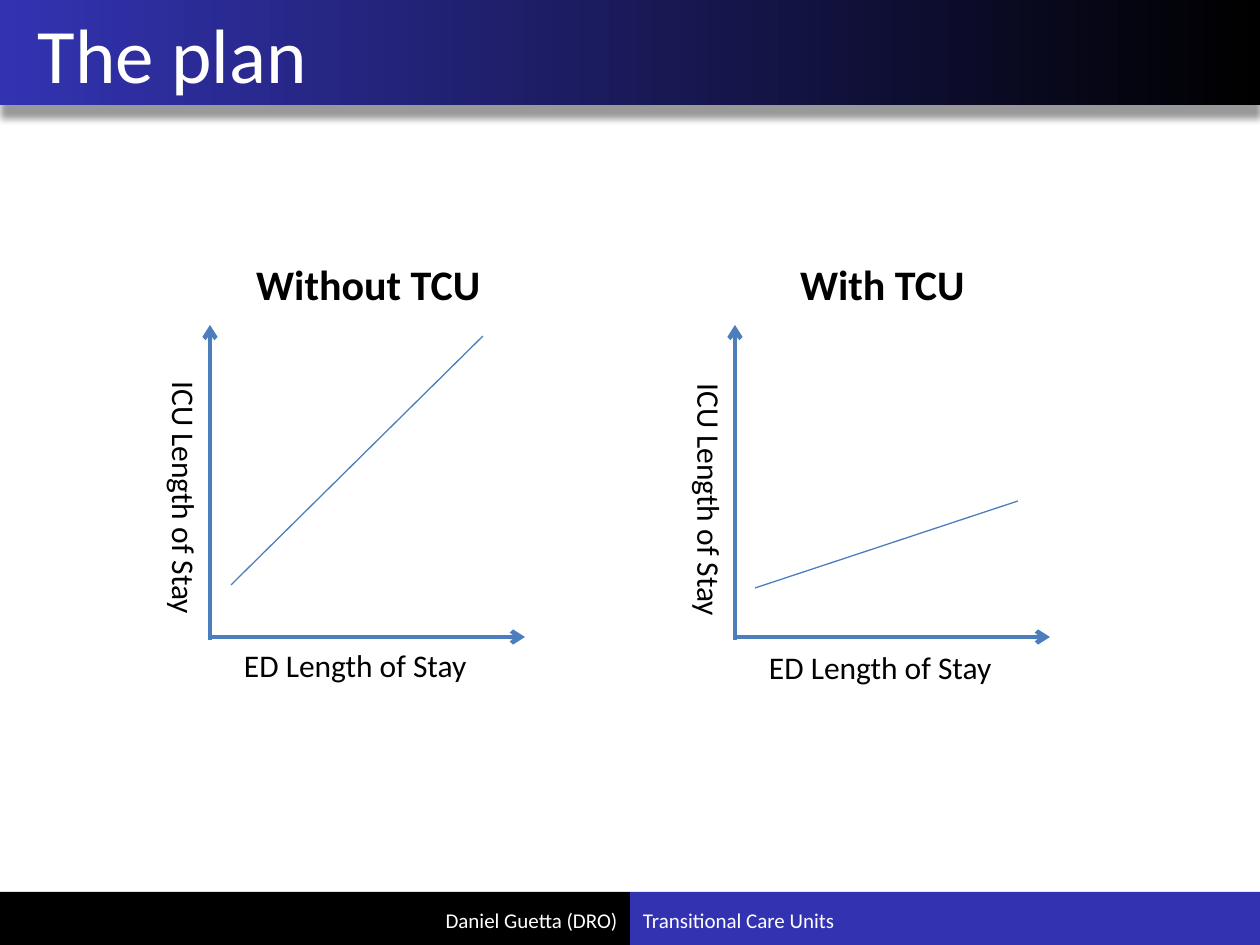
"""Build a slide comparing ICU against ED length of stay without and with a TCU."""
from lxml.etree import SubElement
from pptx import Presentation
from pptx.dml.color import RGBColor
from pptx.enum.shapes import MSO_CONNECTOR, MSO_SHAPE
from pptx.enum.text import MSO_ANCHOR, MSO_AUTO_SIZE, PP_ALIGN
from pptx.oxml.ns import qn
from pptx.util import Emu, Pt

SCALE = 914400 / 126
BLUE, BLACK, WHITE, AXIS = "3333B2", "000000", "FFFFFF", "4B7EBC"


def px(*lengths):
    return [Emu(round(length * SCALE)) for length in lengths]


def write(text, *place, size=18, color=BLACK, bold=False, align=PP_ALIGN.LEFT,
          anchor=MSO_ANCHOR.TOP, fit=MSO_AUTO_SIZE.SHAPE_TO_FIT_TEXT, vertical=False, inset=13):
    box = page.shapes.add_textbox(*px(*place))
    frame = box.text_frame
    frame.word_wrap = True
    frame.auto_size = fit
    frame.vertical_anchor = anchor
    if vertical:
        frame._txBody.bodyPr.set("vert", "vert")
    else:
        frame.margin_left = px(inset)[0]
    para = frame.paragraphs[0]
    para.alignment = align
    span = para.add_run()
    span.text = text
    span.font.name = "Calibri"
    span.font.size = Pt(size)
    span.font.bold = bold
    span.font.color.rgb = RGBColor.from_string(color)


deck = Presentation()
deck.slide_width, deck.slide_height = px(1260, 945)
page = deck.slides.add_slide(deck.slide_layouts[6])

for place, color in [
    ((0, 0, 1260, 105), None),
    ((630, 892, 630, 53), BLUE),
    ((0, 892, 630, 53), BLACK),
]:
    band = page.shapes.add_shape(MSO_SHAPE.RECTANGLE, *px(*place))
    band.shadow.inherit = False
    band.line.fill.background()
    if color:
        band.fill.solid()
        band.fill.fore_color.rgb = RGBColor.from_string(color)
    else:
        band.fill.gradient()
        band.fill.gradient_angle = 0
        for stop, shade in zip(band.fill.gradient_stops, (BLUE, BLACK)):
            stop.color.rgb = RGBColor.from_string(shade)
        effects = band._element.spPr.find(qn("a:effectLst"))
        shadow = SubElement(effects, qn("a:outerShdw"), blurRad=str(Pt(4)), dist=str(Pt(7)),
                            dir="5400000", algn="t", rotWithShape="0")
        tint = SubElement(shadow, qn("a:srgbClr"), val=BLACK)
        SubElement(tint, qn("a:alpha"), val="40000")

bar = {"color": WHITE, "anchor": MSO_ANCHOR.MIDDLE, "fit": MSO_AUTO_SIZE.NONE}
write("Daniel Guetta (DRO)", 147, 895, 483, 50, size=12, align=PP_ALIGN.RIGHT, **bar)
write("Transitional Care Units", 630, 895, 483, 50, size=12, **bar)
write("The plan", 0, 0, 1229, 105, size=44, inset=38, **bar)

for heading, heading_left, left, drop, trend in [
    ("Without TCU", 242, 210, 0, (231, 585, 483, 336)),
    ("With TCU", 756, 735, 2, (755, 588, 1018, 501)),
]:
    axes = page.shapes.add_group_shape()
    for parent, ends, width in [
        (axes, (left, 640, left, 325), 2.5),
        (axes, (left, 637, left + 315, 637), 2.5),
        (page, trend, 0.75),
    ]:
        line = parent.shapes.add_connector(MSO_CONNECTOR.STRAIGHT, *px(*ends))
        line.line.color.rgb = RGBColor.from_string(AXIS)
        line.line.width = Pt(width)
        if parent is axes:
            SubElement(line.line._get_or_add_ln(), qn("a:tailEnd"), type="arrow")
        SubElement(line._element.spPr, qn("a:effectLst"))
    write("ED Length of Stay", left + 21, 640 + drop, 252, 50)
    write("ICU Length of Stay", left - 63, 369 + drop, 63, 261, vertical=True)
    write(heading, heading_left, 252, 252, 63, size=24, bold=True, align=PP_ALIGN.CENTER)

deck.save("out.pptx")
